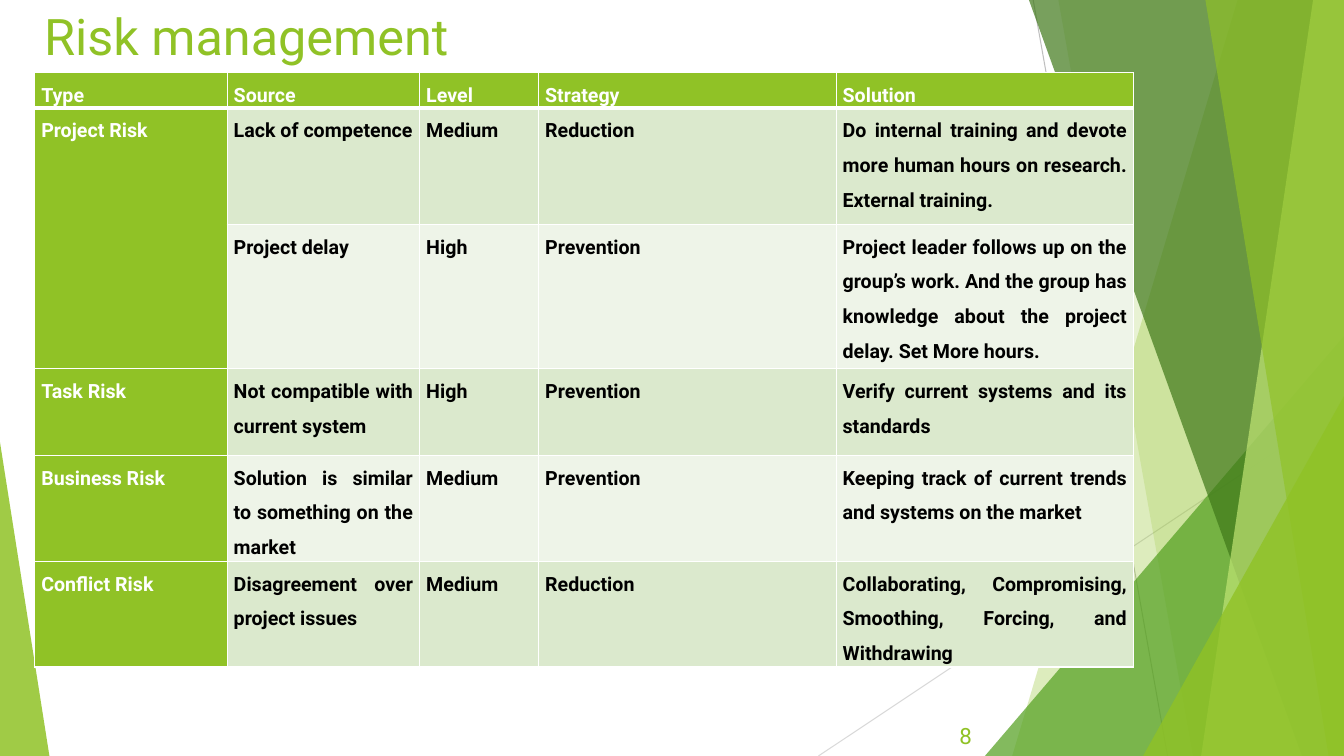
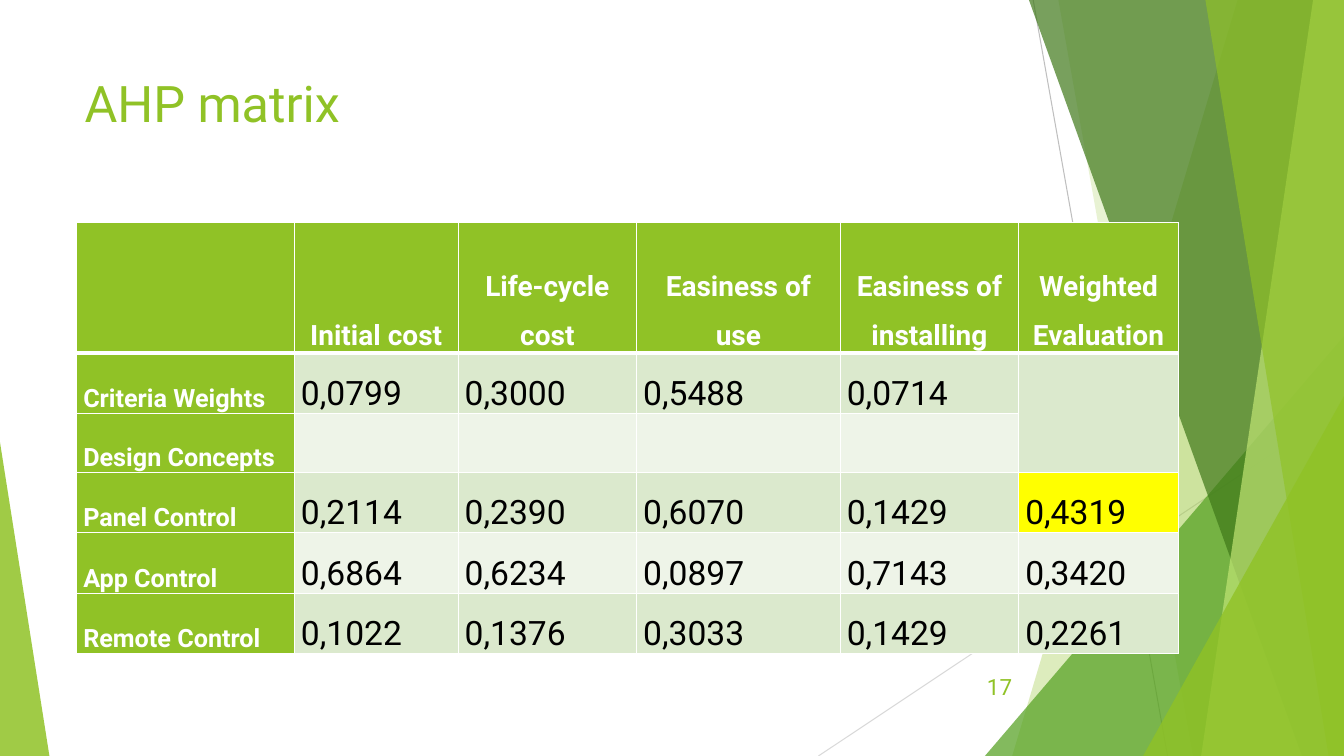
import pptx
import pptx.dml.color
import pptx.enum.dml
import pptx.enum.shapes
import pptx.enum.text
import pptx.oxml
import pptx.oxml.ns
import pptx.util
from dataclasses import dataclass
from lxml import etree

Pt = pptx.util.Pt
PP_ALIGN = pptx.enum.text.PP_ALIGN
ANCHOR = pptx.enum.text.MSO_ANCHOR
qn = pptx.oxml.ns.qn


@dataclass(frozen=True)
class Theme:
    font: str = "Roboto"
    white: str = "FFFFFF"
    black: str = "000000"
    green: str = "90C226"
    mid_green: str = "54A021"
    dark_green: str = "3F7819"
    pale_green: str = "C0E474"
    band_odd: str = "DBE9CD"
    band_even: str = "EEF4E8"
    highlight: str = "FFFF00"
    line_dark: str = "BFBFBF"
    line_light: str = "D9D9D9"
    title_size: int = 36
    number_size: int = 16


@dataclass(frozen=True)
class TextStyle:
    size: float
    color: str
    bold: bool = False
    align: PP_ALIGN = PP_ALIGN.JUSTIFY


THEME = Theme()
WIDTH, HEIGHT = 960, 540
CELL_INSET = 4.7

# Top x, bottom x, colour, opacity; each band runs on to the right edge.
BACK_BANDS = [(884, 723, THEME.green, 30), (756, 852, THEME.green, 20)]
FRONT_BANDS = [
    (735, 930, THEME.dark_green, 70),
    (938, 858, THEME.pale_green, 70),
    (861, 949, THEME.green, 65),
]

RISK_ROWS = [
    ["Type", "Source", "Level", "Strategy", "Solution"],
    ["Project Risk", "Lack of competence", "Medium", "Reduction",
     "Do internal training and devote more human hours on research. "
     "External training."],
    ["", "Project delay", "High", "Prevention",
     "Project leader follows up on the group’s work. And the group has "
     "knowledge about the project delay. Set More hours."],
    ["Task Risk", "Not compatible with current system", "High", "Prevention",
     "Verify current systems and its standards"],
    ["Business Risk", "Solution is similar to something on the market",
     "Medium", "Prevention",
     "Keeping track of current trends and systems on the market"],
    ["Conflict Risk", "Disagreement over project issues", "Medium",
     "Reduction",
     "Collaborating, Compromising, Smoothing, Forcing, and Withdrawing"],
]

AHP_ROWS = [
    ["", "Initial cost", "Life-cycle cost", "Easiness of use",
     "Easiness of installing", "Weighted Evaluation"],
    ["Criteria Weights", "0,0799", "0,3000", "0,5488", "0,0714", ""],
    ["Design Concepts", "", "", "", "", ""],
    ["Panel Control", "0,2114", "0,2390", "0,6070", "0,1429", "0,4319"],
    ["App Control", "0,6864", "0,6234", "0,0897", "0,7143", "0,3420"],
    ["Remote Control", "0,1022", "0,1376", "0,3033", "0,1429", "0,2261"],
]


def rgb(color):
    return pptx.dml.color.RGBColor.from_string(color)


def paint(sp, color, opacity):
    sp.shadow.inherit = False
    sp.line.fill.background()
    sp.fill.solid()
    sp.fill.fore_color.rgb = rgb(color)
    clr = sp.fill._xPr.find(qn("a:solidFill"))[0]
    etree.SubElement(clr, qn("a:alpha"), val=str(opacity * 1000))


def add_line(shapes, x1, y1, x2, y2, color):
    cxn = shapes.add_connector(
        pptx.enum.shapes.MSO_CONNECTOR.STRAIGHT, Pt(x1), Pt(y1), Pt(x2), Pt(y2))
    cxn.line.color.rgb = rgb(color)
    cxn.line.width = Pt(0.75)
    etree.SubElement(cxn._element.spPr, qn("a:effectLst"))


def add_band(shapes, top_x, bottom_x, color, opacity):
    builder = shapes.build_freeform(top_x, 0, scale=Pt(1))
    builder.add_line_segments(
        [(WIDTH, 0), (WIDTH, HEIGHT), (bottom_x, HEIGHT)], close=True)
    paint(builder.convert_to_shape(), color, opacity)


def add_corner(shapes, x, y, w, apex, color, opacity):
    """Right triangle standing on the bottom edge; apex 0 is left, 1 right."""
    sp = shapes.add_shape(
        pptx.enum.shapes.MSO_SHAPE.ISOSCELES_TRIANGLE,
        Pt(x), Pt(y), Pt(w), Pt(HEIGHT - y))
    sp.adjustments[0] = apex
    paint(sp, color, opacity)


def add_backdrop(slide):
    shapes = slide.shapes.add_group_shape().shapes
    add_line(shapes, 738, 0, 834, HEIGHT, THEME.line_dark)
    add_line(shapes, WIDTH, 290, 584.6, HEIGHT, THEME.line_light)
    for band in BACK_BANDS:
        add_band(shapes, *band)
    add_corner(shapes, 703.5, 240, 256.5, 1, THEME.mid_green, 72)
    for band in FRONT_BANDS:
        add_band(shapes, *band)
    add_corner(shapes, 816.5, 283, 143.5, 1, THEME.green, 80)
    add_corner(shapes, 0, 316, 35.3, 0, THEME.green, 85)


def write(tf, text, style, spacing=None):
    p = tf.paragraphs[0]
    p.alignment = style.align
    p.line_spacing = spacing
    r = p.add_run()
    r.text = text
    r.font.name = THEME.font
    r.font.size = Pt(style.size)
    r.font.bold = style.bold
    r.font.color.rgb = rgb(style.color)


def add_text(slide, x, y, w, h, text, style, anchor=ANCHOR.TOP):
    tf = slide.shapes.add_textbox(Pt(x), Pt(y), Pt(w), Pt(h)).text_frame
    tf.word_wrap = True
    tf.vertical_anchor = anchor
    write(tf, text, style)


def add_title(slide, x, y, w, text):
    add_text(slide, x, y, w, 104, text,
             TextStyle(THEME.title_size, THEME.green, align=PP_ALIGN.LEFT))


def add_number(slide, x, y, text):
    add_text(slide, x, y, 54, 29, text,
             TextStyle(THEME.number_size, THEME.green, align=PP_ALIGN.RIGHT),
             ANCHOR.MIDDLE)


def set_borders(cell, **widths):
    """Draw white borders, 1 pt unless a side (L, R, T, B) has its own width."""
    tc_pr = cell._tc.get_or_add_tcPr()
    for side in "LRTB":
        ln = etree.SubElement(tc_pr, qn(f"a:ln{side}"),
                              w=str(Pt(widths.get(side, 1))))
        fill = etree.SubElement(ln, qn("a:solidFill"))
        etree.SubElement(fill, qn("a:srgbClr"), val=THEME.white)


def add_grid(slide, x, y, cols, heights, rows, head, label, body, anchor):
    """Add a table with a green first row and column and banded body rows."""
    table = slide.shapes.add_table(
        len(rows), len(cols), Pt(x), Pt(y), Pt(sum(cols)), Pt(sum(heights))).table
    for col, width in zip(table.columns, cols):
        col.width = Pt(width)
    for row, height in zip(table.rows, heights):
        row.height = Pt(height)
    for i, texts in enumerate(rows):
        for j, text in enumerate(texts):
            cell = table.cell(i, j)
            set_borders(cell, **{0: {"B": 3}, 1: {"T": 3}}.get(i, {}))
            cell.margin_left = cell.margin_right = Pt(CELL_INSET)
            cell.margin_top = cell.margin_bottom = 0
            cell.vertical_anchor = anchor
            band = THEME.band_odd if i % 2 else THEME.band_even
            cell.fill.solid()
            cell.fill.fore_color.rgb = rgb(THEME.green if i == 0 or j == 0 else band)
            if text:
                style = head if i == 0 else label if j == 0 else body
                write(cell.text_frame, text, style, 1.5)
    return table


def new_slide(prs):
    slide = prs.slides.add_slide(prs.slide_layouts[6])
    add_backdrop(slide)
    return slide


def add_risk_slide(prs):
    slide = new_slide(prs)
    add_title(slide, 24.5, 0, 828, "Risk management")
    label = TextStyle(14, THEME.white, True)
    table = add_grid(
        slide, 24.8, 52, [137.5, 137.5, 85, 212.5, 212.5],
        [25, 83, 103, 62, 74, 74], RISK_ROWS,
        label, label, TextStyle(14, THEME.black, True), ANCHOR.TOP)
    table.cell(1, 0).merge(table.cell(2, 0))
    add_number(slide, 647.3, 511.2, "8")


def add_ahp_slide(prs):
    slide = new_slide(prs)
    add_title(slide, 53.3, 48.2, 677, "AHP matrix")
    table = add_grid(
        slide, 54.8, 159, [155.5, 117, 127.5, 145.5, 127.5, 114],
        [93] + [42.2] * 5, AHP_ROWS,
        TextStyle(20, THEME.white, True, PP_ALIGN.CENTER),
        TextStyle(18, THEME.white, True), TextStyle(24, THEME.black),
        ANCHOR.BOTTOM)
    table.cell(1, 5).merge(table.cell(2, 5))
    table.cell(3, 5).fill.fore_color.rgb = rgb(THEME.highlight)
    add_number(slide, 676, 476, "17")


def main():
    prs = pptx.Presentation()
    prs.slide_width, prs.slide_height = Pt(WIDTH), Pt(HEIGHT)
    add_risk_slide(prs)
    add_ahp_slide(prs)
    prs.save("out.pptx")


if __name__ == "__main__":
    main()
